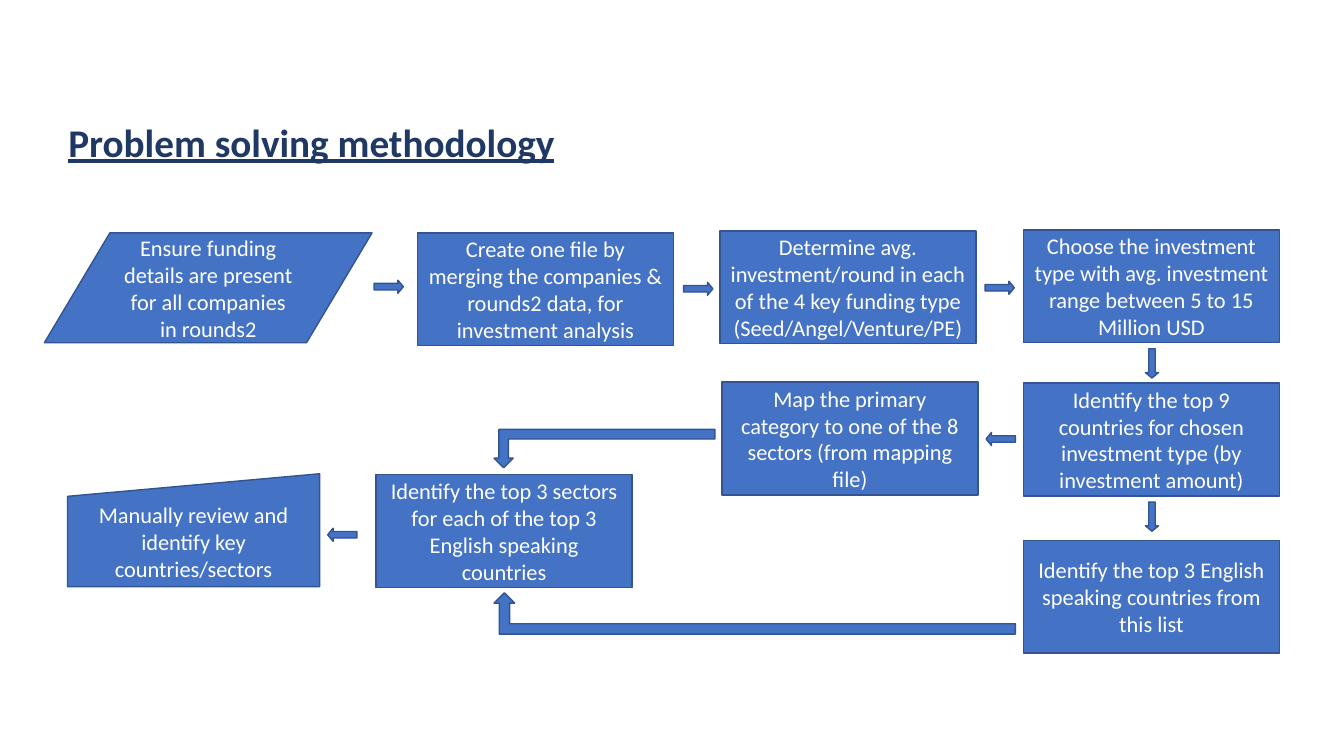
from pptx import Presentation
from pptx.dml.color import RGBColor
from pptx.enum.shapes import MSO_SHAPE
from pptx.enum.text import MSO_ANCHOR, MSO_AUTO_SIZE, PP_ALIGN
from pptx.oxml.ns import qn
from pptx.util import Inches, Pt

RECTANGLE = MSO_SHAPE.RECTANGLE
DATA = MSO_SHAPE.FLOWCHART_DATA
MANUAL_INPUT = MSO_SHAPE.FLOWCHART_MANUAL_INPUT
RIGHT_ARROW = MSO_SHAPE.RIGHT_ARROW
BENT_ARROW = MSO_SHAPE.BENT_UP_ARROW

FONT = "Calibri"
BLUE, OUTLINE, NAVY, BLACK, WHITE = "4472C4", "325491", "203864", "000000", "FFFFFF"
BOX_SIZE = (2.54, 1.12)
RIGHT, DOWN, LEFT = 0, 90, 180

STEPS = [
    (DATA, 0.44, 2.31, (3.25, 1.09),
     "Ensure funding details are present for all companies in rounds2"),
    (RECTANGLE, 4.14, 2.31, BOX_SIZE,
     "Create one file by merging the companies & rounds2 data, for investment analysis"),
    (RECTANGLE, 7.14, 2.29, BOX_SIZE,
     "Determine avg. investment/round in each of the 4 key funding type "
     "(Seed/Angel/Venture/PE)"),
    (RECTANGLE, 10.15, 2.28, BOX_SIZE,
     "Choose the investment type with avg. investment range between 5 to 15 Million USD"),
    (RECTANGLE, 10.15, 3.8, BOX_SIZE,
     "Identify the top 9 countries for chosen investment type (by investment amount)"),
    (RECTANGLE, 7.16, 3.79, BOX_SIZE,
     "Map the primary category to one of the 8 sectors (from mapping file)"),
    (RECTANGLE, 10.15, 5.36, BOX_SIZE,
     "Identify the top 3 English speaking countries from this list"),
    (RECTANGLE, 3.73, 4.71, BOX_SIZE,
     "Identify the top 3 sectors for each of the top 3 English speaking countries"),
    (MANUAL_INPUT, 0.67, 4.7, (2.5, 1.12),
     "Manually review and identify key countries/sectors"),
]

SHORT_ARROWS = [
    (3.71, 2.78, RIGHT),
    (6.78, 2.8, RIGHT),
    (9.77, 2.79, RIGHT),
    (11.28, 3.54, DOWN),
    (9.78, 4.29, LEFT),
    (11.28, 5.06, DOWN),
    (3.25, 5.24, LEFT),
]


def color(value):
    return RGBColor.from_string(value)


def add_title(slide):
    title = slide.shapes.title
    title.left, title.top = Inches(0.44), Inches(0.89)
    title.width, title.height = Inches(10.19), Inches(0.94)
    frame = title.text_frame
    frame.auto_size = MSO_AUTO_SIZE.NONE
    frame.vertical_anchor = MSO_ANCHOR.MIDDLE
    paragraph = frame.paragraphs[0]
    paragraph.alignment = PP_ALIGN.LEFT
    paragraph.line_spacing = 0.9
    for text, size, tone, underline in [
        (" ", 44, BLACK, False),
        ("Problem solving methodology", 28, NAVY, True),
    ]:
        run = paragraph.add_run()
        run.text = text
        run.font.name = FONT
        run.font.size = Pt(size)
        run.font.bold = True
        run.font.underline = underline
        run.font.color.rgb = color(tone)


def add_blue_shape(slide, kind, left, top, width, height):
    shape = slide.shapes.add_shape(
        kind, Inches(left), Inches(top), Inches(width), Inches(height))
    shape.shadow.inherit = False
    shape.fill.solid()
    shape.fill.fore_color.rgb = color(BLUE)
    shape.line.color.rgb = color(OUTLINE)
    shape.line.width = Pt(1)
    return shape


def add_step(slide, kind, left, top, size, text):
    shape = add_blue_shape(slide, kind, left, top, *size)
    frame = shape.text_frame
    frame.word_wrap = True
    frame.vertical_anchor = MSO_ANCHOR.MIDDLE
    paragraph = frame.paragraphs[0]
    paragraph.text = text
    paragraph.alignment = PP_ALIGN.CENTER
    paragraph.font.name = FONT
    paragraph.font.size = Pt(16)
    paragraph.font.color.rgb = color(WHITE)


def add_short_arrow(slide, left, top, direction):
    arrow = add_blue_shape(slide, RIGHT_ARROW, left, top, 0.29, 0.13)
    arrow.adjustments[1] = 0.41
    arrow.rotation = direction


def add_bent_arrow(slide, top, width, height, points_down):
    arrow = add_blue_shape(slide, BENT_ARROW, 4.9, top, width, height)
    arrow.rotation = 180
    if not points_down:
        arrow.element.spPr.find(qn("a:xfrm")).set("flipV", "1")


def main():
    presentation = Presentation()
    presentation.slide_width = Inches(13.33)
    presentation.slide_height = Inches(7.5)
    slide = presentation.slides.add_slide(presentation.slide_layouts[5])
    add_title(slide)
    for step in STEPS:
        add_step(slide, *step)
    for arrow in SHORT_ARROWS:
        add_short_arrow(slide, *arrow)
    add_bent_arrow(slide, 4.26, 2.19, 0.38, points_down=True)
    add_bent_arrow(slide, 5.88, 5.17, 0.41, points_down=False)
    presentation.save("out.pptx")


if __name__ == "__main__":
    main()
